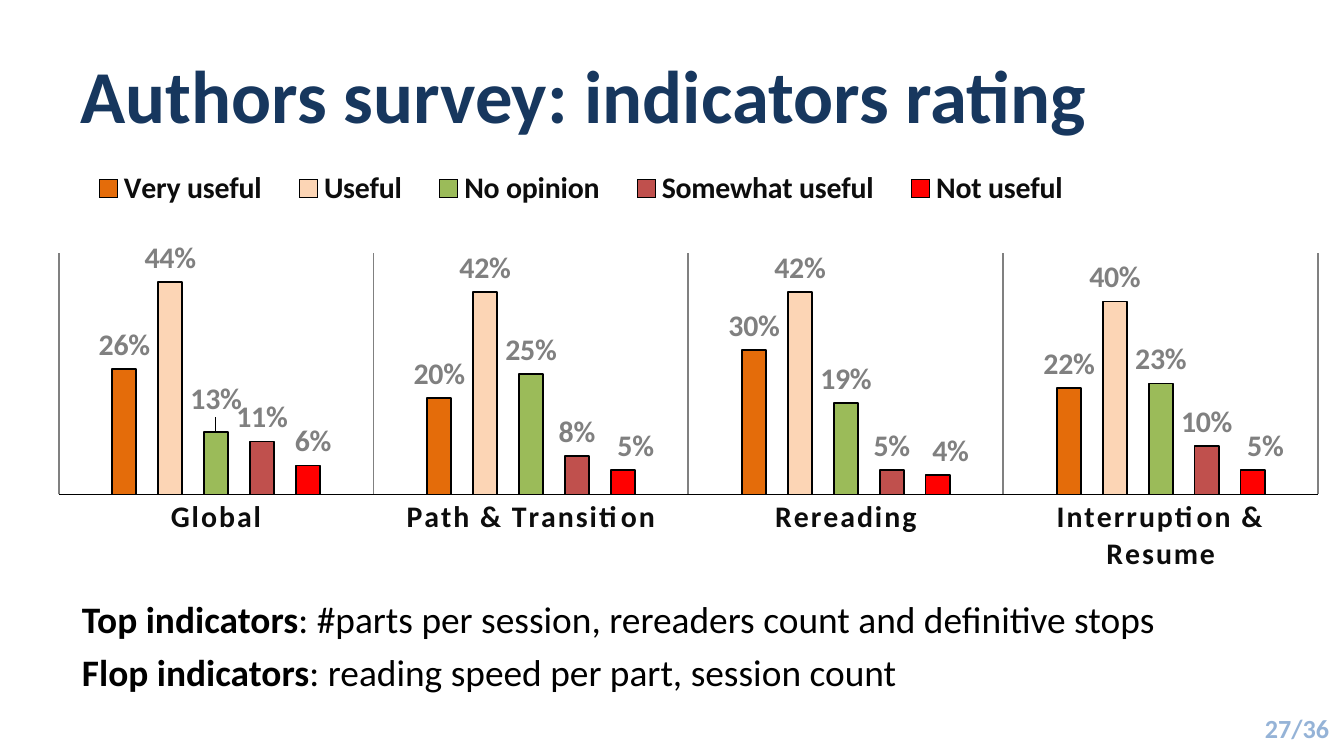
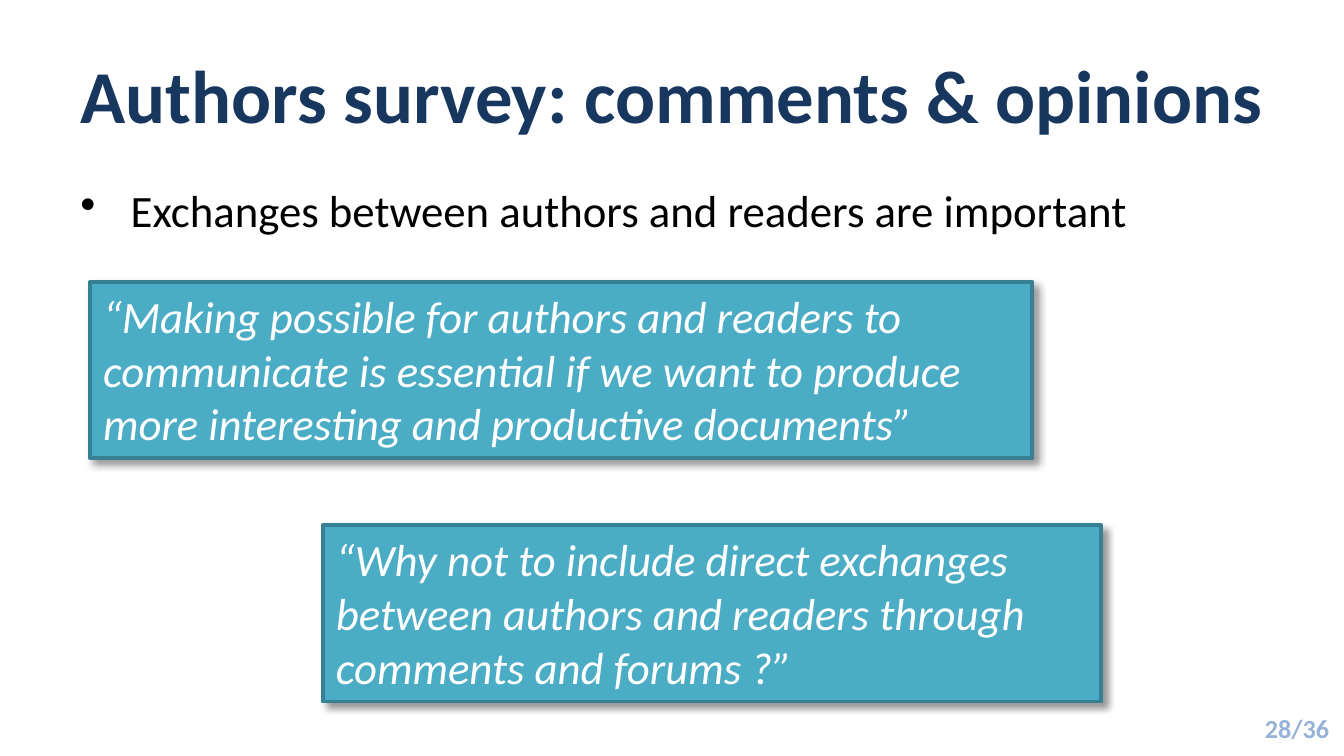
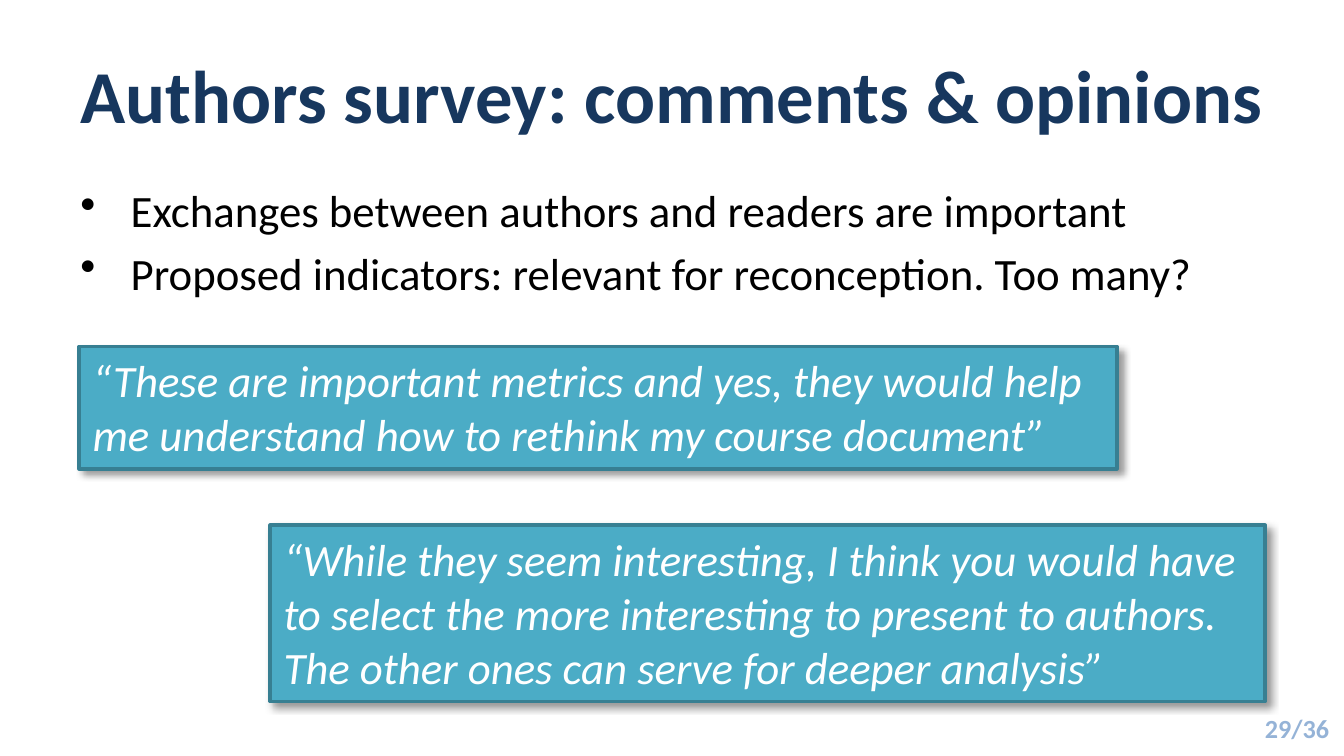
import pptx
import pptx.chart.data
import pptx.dml.color
import pptx.enum.chart
import pptx.enum.shapes
import pptx.enum.text
import pptx.oxml
import pptx.oxml.ns
import pptx.util

Cm, Pt = pptx.util.Cm, pptx.util.Pt
RGB = pptx.dml.color.RGBColor.from_string
ALIGN = pptx.enum.text.PP_ALIGN
ANCHOR = pptx.enum.text.MSO_ANCHOR
LABEL = pptx.enum.chart.XL_LABEL_POSITION

FONT = "Calibri"
COLORS = {
    "background": "FFFFFF",
    "title": "17375E",
    "page": "95B3D7",
    "text": "000000",
    "axis": "0D0D0D",
    "grey": "808080",
    "quote": "4BACC6",
    "quote line": "377F92",
    "quote text": "FFFFFF",
    "Very useful": "E46C0A",
    "Useful": "FCD5B5",
    "No opinion": "9BBB59",
    "Somewhat useful": "C0504D",
    "Not useful": "FF0000",
}
PAGE_COUNT = 36
BULLET_INDENT = Cm(0.95)

RATED = ["Global", "Path & Transition", "Rereading", "Interruption & Resume"]
RATINGS = {
    "Very useful": (0.26, 0.20, 0.30, 0.22),
    "Useful": (0.44, 0.42, 0.42, 0.40),
    "No opinion": (0.13, 0.25, 0.19, 0.23),
    "Somewhat useful": (0.11, 0.08, 0.05, 0.10),
    "Not useful": (0.06, 0.05, 0.04, 0.05),
}
# Labels nudged away from their neighbours: (rating, category) -> (dx, dy)
LABEL_SHIFTS = {
    ("No opinion", 0): (0, -0.02),
    ("Not useful", 0): (0.004, 0),
    ("Not useful", 1): (0.01, 0),
    ("Not useful", 2): (0.01, 0),
    ("Not useful", 3): (0.01, 0),
}

EXCHANGES = "Exchanges between authors and readers are important"
SLIDES = [
    {
        "page": 27,
        "title": "Authors survey: indicators rating",
        "title box": (1.27, 0.79, 22.86, 1.96),
        "body box": (1.3, 11.15, 22.86, 1.83),
        "findings": [
            ("Top indicators", ": #parts per session, rereaders count and definitive stops"),
            ("Flop indicators", ": reading speed per part, session count"),
        ],
    },
    {
        "page": 28,
        "title": "Authors survey: comments & opinions",
        "title box": (1.27, 0.58, 23.62, 2.39),
        "body box": (1.27, 3.33, 22.86, 2.21),
        "bullets": [EXCHANGES],
        "quotes": [
            ((1.7, 5.33, 17.81, 3.33),
             "“Making possible for authors and readers to communicate is essential "
             "if we want to produce more interesting and productive documents”"),
            ((6.1, 9.93, 14.71, 3.33),
             "“Why not to include direct exchanges between authors and readers "
             "through comments and forums ?”"),
        ],
    },
    {
        "page": 29,
        "title": "Authors survey: comments & opinions",
        "title box": (1.27, 0.58, 23.62, 2.39),
        "body box": (1.27, 3.33, 22.86, 10.41),
        "bullets": [EXCHANGES, "Proposed indicators: relevant for reconception. Too many?"],
        "quotes": [
            ((1.5, 6.55, 19.61, 2.31),
             "“These are important metrics and yes, they would help me understand "
             "how to rethink my course document”"),
            ((5.11, 9.93, 18.8, 3.33),
             "“While they seem interesting, I think you would have to select the "
             "more interesting to present to authors. The other ones can serve for "
             "deeper analysis”"),
        ],
    },
]


def write(frame, text, size, color="text", bold=False, italic=False,
          align=ALIGN.LEFT, anchor=ANCHOR.TOP, space=0, bullet=False, lead=""):
    """Add a paragraph to the frame; lead is a bold opening before the text."""
    frame.word_wrap = True
    frame.vertical_anchor = anchor
    paragraph = frame.paragraphs[-1]
    if paragraph.runs:
        paragraph = frame.add_paragraph()
    paragraph.alignment = align
    paragraph.space_before = Pt(space)
    if bullet:
        properties = paragraph._p.get_or_add_pPr()
        properties.set("marL", str(BULLET_INDENT))
        properties.set("indent", str(-BULLET_INDENT))
        mark = pptx.oxml.parse_xml(
            f'<a:buChar {pptx.oxml.ns.nsdecls("a")} char="•"/>')
        properties.append(mark)
    for words, is_bold in ((lead, True), (text, bold)):
        if words:
            run = paragraph.add_run()
            run.text = words
            run.font.name, run.font.size = FONT, Pt(size)
            run.font.bold, run.font.italic = is_bold, italic
            run.font.color.rgb = RGB(COLORS[color])


def set_layout(parent, index, **parts):
    """Give a chart part a manual layout, as fractions of the chart."""
    for old in parent.xpath("./c:layout"):
        parent.remove(old)
    entries = "".join(f'<c:{tag} val="{value}"/>' for tag, value in parts.items())
    parent.insert(index, pptx.oxml.parse_xml(
        f'<c:layout {pptx.oxml.ns.nsdecls("c")}>'
        f"<c:manualLayout>{entries}</c:manualLayout></c:layout>"))


deck = pptx.Presentation()
deck.slide_width, deck.slide_height = Cm(25.4), Cm(14.29)

for content in SLIDES:
    slide = deck.slides.add_slide(deck.slide_layouts[6])
    slide.background.fill.solid()
    slide.background.fill.fore_color.rgb = RGB(COLORS["background"])

    page = slide.shapes.add_textbox(Cm(21.31), Cm(13.39), Cm(3.81), Cm(0.76)).text_frame
    page.margin_left = page.margin_right = 0
    write(page, f"{content['page']}/{PAGE_COUNT}", 14, "page", bold=True,
          align=ALIGN.RIGHT, anchor=ANCHOR.MIDDLE)

    title = slide.shapes.add_textbox(*map(Cm, content["title box"])).text_frame
    write(title, content["title"], 40, "title", bold=True, anchor=ANCHOR.MIDDLE)

    body = slide.shapes.add_textbox(*map(Cm, content["body box"])).text_frame
    for indicators, finding in content.get("findings", []):
        write(body, finding, 20, lead=indicators, space=4)
    for point in content.get("bullets", []):
        write(body, point, 24, bullet=True, space=4.8)

    for box, words in content.get("quotes", []):
        quote = slide.shapes.add_shape(
            pptx.enum.shapes.MSO_SHAPE.RECTANGLE, *map(Cm, box))
        quote.fill.solid()
        quote.fill.fore_color.rgb = RGB(COLORS["quote"])
        quote.line.color.rgb = RGB(COLORS["quote line"])
        quote.line.width = Pt(2)
        quote.shadow.inherit = False
        quote._element.spPr.xpath("./a:effectLst")[0].append(pptx.oxml.parse_xml(
            f'<a:outerShdw {pptx.oxml.ns.nsdecls("a")} blurRad="{Pt(4)}" '
            f'dist="{Pt(3)}" dir="2700000" algn="tl" rotWithShape="0">'
            '<a:srgbClr val="000000"><a:alpha val="40000"/></a:srgbClr></a:outerShdw>'))
        write(quote.text_frame, words, 24, "quote text", italic=True)

# Ratings chart on the first slide
survey = pptx.chart.data.CategoryChartData(number_format="0%")
survey.categories = RATED
for rating, shares in RATINGS.items():
    survey.add_series(rating, shares)
chart = deck.slides[0].shapes.add_chart(
    pptx.enum.chart.XL_CHART_TYPE.COLUMN_CLUSTERED,
    Cm(1.09), Cm(3.15), Cm(24.41), Cm(8.2), survey).chart
chart.has_title = False
chart.has_legend = True
chart.legend.position = pptx.enum.chart.XL_LEGEND_POSITION.TOP
chart.legend.include_in_layout = False

shares_axis = chart.value_axis
shares_axis.minimum_scale, shares_axis.maximum_scale = 0, 0.5
shares_axis.has_major_gridlines = False
shares_axis.visible = False

rated_axis = chart.category_axis
rated_axis.major_tick_mark = pptx.enum.chart.XL_TICK_MARK.NONE
rated_axis.format.line.color.rgb = RGB(COLORS["text"])
rated_axis.format.line.width = Pt(0.75)
rated_axis.has_major_gridlines = True
rated_axis.major_gridlines.format.line.color.rgb = RGB(COLORS["grey"])
rated_axis.major_gridlines.format.line.width = Pt(1)

bars = chart.plots[0]
bars.gap_width, bars.overlap, bars.vary_by_categories = 444, -90, False
fonts = [(chart.font, "text"), (chart.legend.font, "axis"),
         (rated_axis.tick_labels.font, "axis")]
for series in bars.series:
    series.format.fill.solid()
    series.format.fill.fore_color.rgb = RGB(COLORS[series.name])
    series.format.line.color.rgb = RGB(COLORS["text"])
    series.format.line.width = Pt(1)
    labels = series.data_labels
    labels.show_value = True
    labels.number_format, labels.number_format_is_linked = "0%", False
    labels.position = LABEL.OUTSIDE_END
    fonts.append((labels.font, "grey"))
    for category in range(len(RATED)):
        if (series.name, category) in LABEL_SHIFTS:
            dx, dy = LABEL_SHIFTS[series.name, category]
            label = series.points[category].data_label
            label.position = LABEL.OUTSIDE_END
            fonts.append((label.font, "grey"))
            shifted = series._element.xpath(f"./c:dLbls/c:dLbl[c:idx/@val={category}]")[0]
            set_layout(shifted, 1, x=dx, y=dy)

for font, color in fonts:
    font.name, font.size, font.bold = FONT, Pt(16), True
    font.color.rgb = RGB(COLORS[color])
rated_axis._element.xpath("./c:txPr//a:defRPr")[0].set("spc", "120")

set_layout(chart._chartSpace.xpath(".//c:plotArea")[0], 0, layoutTarget="inner",
           xMode="edge", yMode="edge", x=0, y=0.2, w=0.976, h=0.556)
set_layout(chart.legend._element, 1, xMode="edge", yMode="edge",
           x=0.01, y=0, w=0.79, h=0.1)

deck.save("out.pptx")
